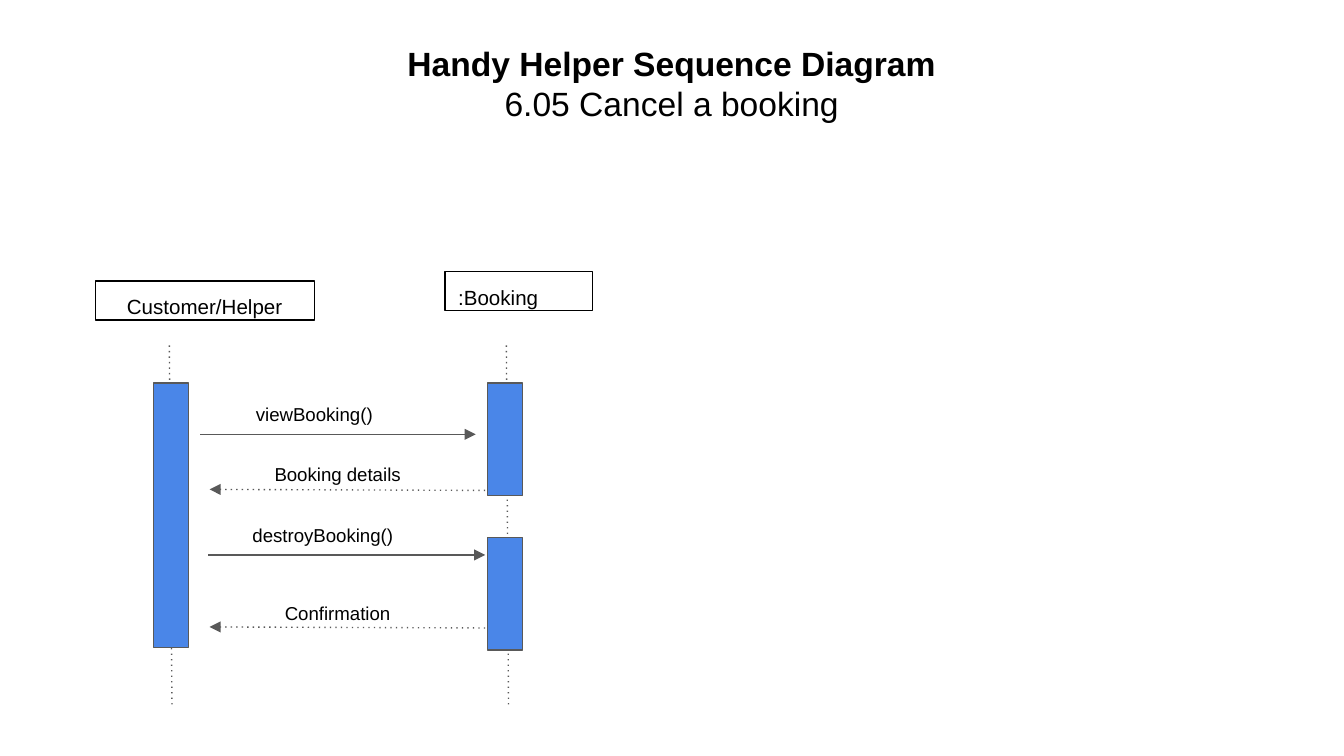
from lxml import etree
from pptx import Presentation
from pptx.dml.color import RGBColor
from pptx.enum import shapes, text
from pptx.oxml import ns
from pptx.util import Cm, Pt

BLACK = RGBColor(0x00, 0x00, 0x00)
GRAY = RGBColor(0x59, 0x59, 0x59)
BLUE = RGBColor(0x4A, 0x86, 0xE8)
LEFT, CENTER = text.PP_ALIGN.LEFT, text.PP_ALIGN.CENTER
TOP, MIDDLE = text.MSO_ANCHOR.TOP, text.MSO_ANCHOR.MIDDLE


def write(box, lines, size, align, anchor):
    frame = box.text_frame
    margins = {f"margin_{side}": Cm(0.25) for side in ("left", "top", "right", "bottom")}
    for name, value in {"word_wrap": True, "vertical_anchor": anchor, **margins}.items():
        setattr(frame, name, value)
    for index, (words, bold) in enumerate(lines):
        para = frame.add_paragraph() if index else frame.paragraphs[0]
        para.alignment = align
        span = para.add_run()
        span.text = words
        for name, value in {"name": "Arial", "size": Pt(size), "bold": bold}.items():
            setattr(span.font, name, value)
        span.font.color.rgb = BLACK


def draw_line(start_x, start_y, end_x, end_y, dotted, arrow):
    line = page.shapes.add_connector(
        shapes.MSO_CONNECTOR.STRAIGHT, Cm(start_x), Cm(start_y), Cm(end_x), Cm(end_y))
    line.line.color.rgb = GRAY
    line.line.width = Pt(0.75)
    properties = line.element.spPr
    outline = properties.find(ns.qn("a:ln"))
    if dotted:
        etree.SubElement(outline, ns.qn("a:prstDash"), val="dot")
    if arrow:
        etree.SubElement(outline, ns.qn("a:tailEnd"), type="triangle", w="med", len="med")
    etree.SubElement(properties, ns.qn("a:effectLst"))


deck = Presentation()
deck.slide_width, deck.slide_height = Cm(25.4), Cm(14.29)
page = deck.slides.add_slide(deck.slide_layouts[6])

title = page.shapes.add_textbox(Cm(0.86), Cm(0.56), Cm(23.67), Cm(1.6))
write(title, [("Handy Helper Sequence Diagram", True), ("6.05 Cancel a booking", False)],
      18, CENTER, TOP)

participants = [
    ("Customer/Helper", 1.8, 5.31, 4.14, CENTER),
    (":Booking", 8.41, 5.13, 2.79, LEFT),
]
for name, left, top, width, align in participants:
    box = page.shapes.add_shape(
        shapes.MSO_SHAPE.RECTANGLE, Cm(left), Cm(top), Cm(width), Cm(0.74))
    box.shadow.inherit = False
    box.fill.background()
    box.line.color.rgb = BLACK
    box.line.width = Pt(0.75)
    write(box, [(name, False)], 11, align, TOP)

for top_x, bottom_x in [(3.2, 3.25), (9.57, 9.61)]:
    draw_line(top_x, 6.53, bottom_x, 13.34, True, False)

for left, top, height in [(2.9, 7.24, 5), (9.22, 7.24, 2.13), (9.22, 10.16, 2.13)]:
    bar = page.shapes.add_shape(
        shapes.MSO_SHAPE.RECTANGLE, Cm(left), Cm(top), Cm(0.66), Cm(height))
    bar.shadow.inherit = False
    bar.fill.solid()
    bar.fill.fore_color.rgb = BLUE
    bar.line.color.rgb = GRAY
    bar.line.width = Pt(0.75)

messages = [
    ("viewBooking()", 4.01, 7.54, (3.78, 8.21, 8.99, 8.21), False),
    ("Booking details", 4.45, 8.69, (9.17, 9.27, 3.96, 9.25), True),
    ("destroyBooking()", 4.17, 9.83, (3.94, 10.49, 9.17, 10.49), False),
    ("Confirmation", 4.45, 11.3, (9.17, 11.87, 3.96, 11.85), True),
]
for words, left, top, ends, reply in messages:
    draw_line(*ends, reply, True)
    label = page.shapes.add_textbox(Cm(left), Cm(top), Cm(3.86), Cm(0.56))
    write(label, [(words, False)], 10, CENTER, MIDDLE)

deck.save("out.pptx")
